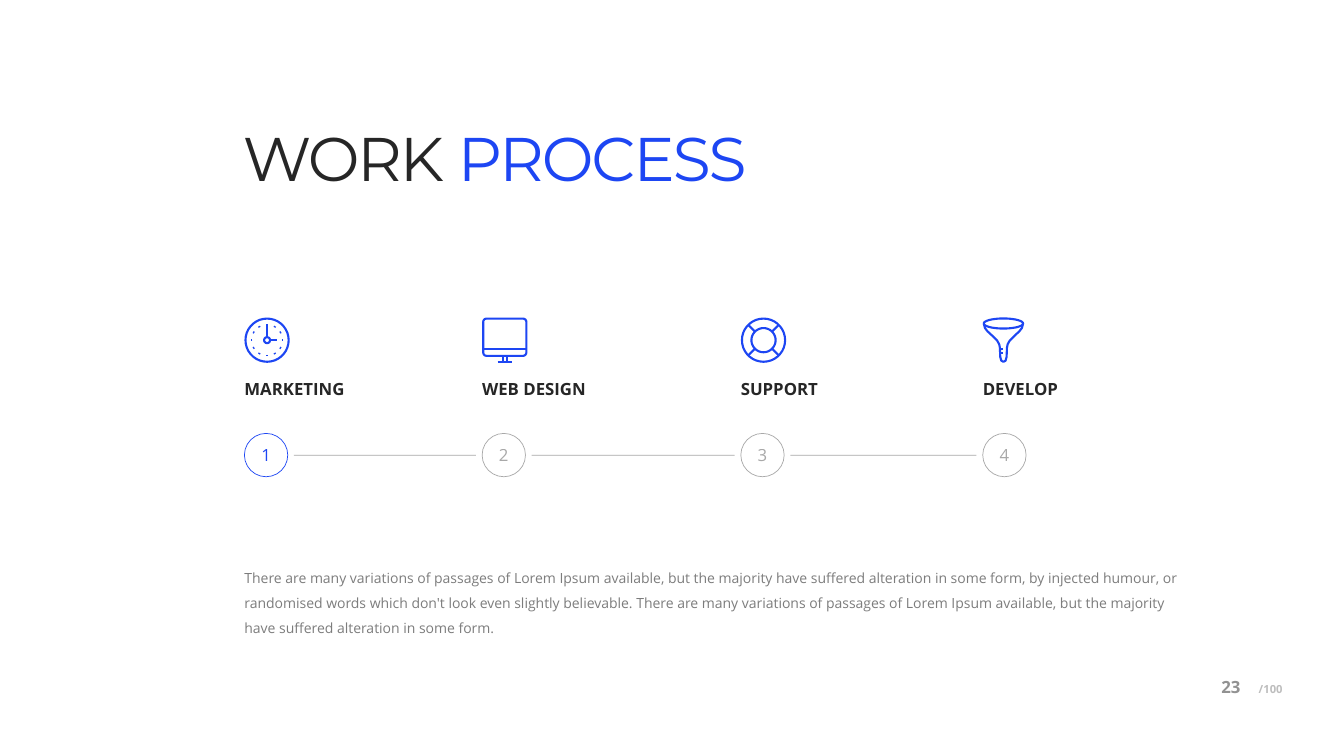
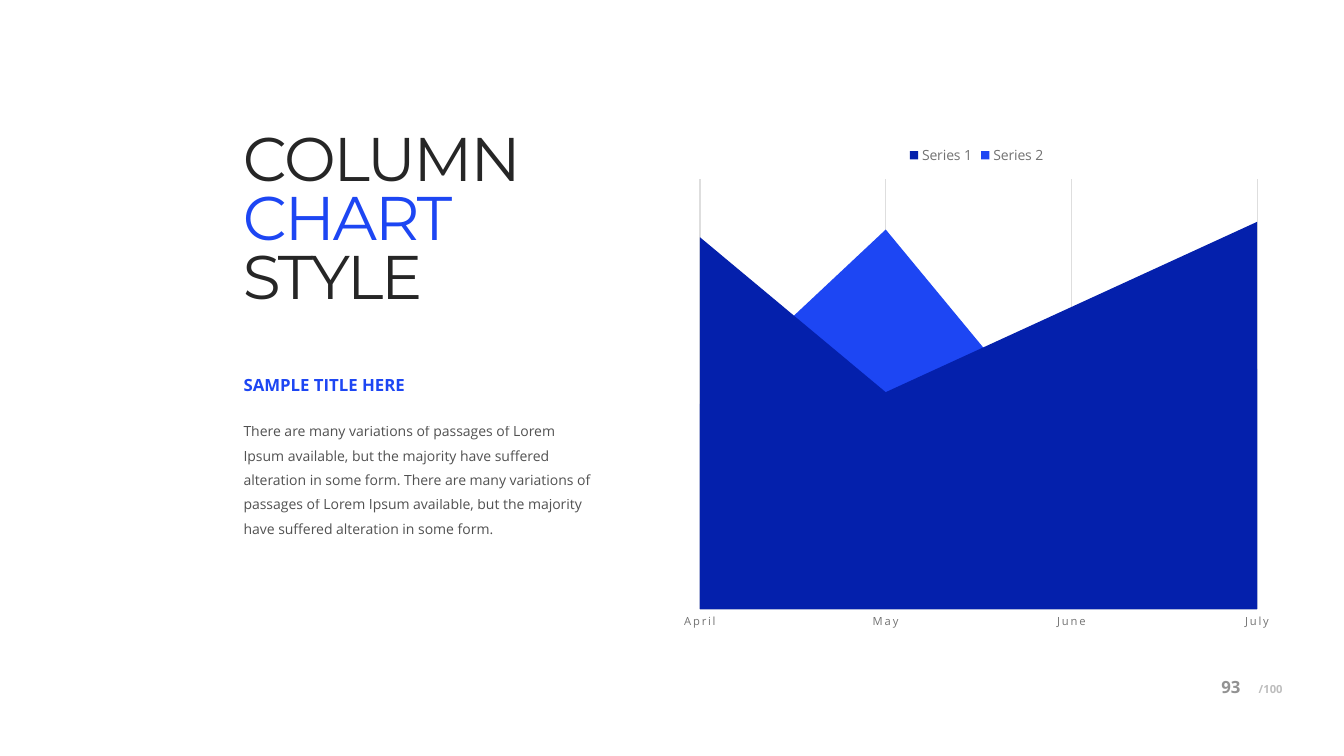
from math import cos, pi, sin

from lxml import etree
from pptx import Presentation, util as u
from pptx.chart.data import CategoryChartData
from pptx.dml.color import RGBColor
from pptx.enum import chart as charts, shapes, text
from pptx.oxml import parse_xml
from pptx.oxml.ns import nsdecls, qn

INK = RGBColor(0x26, 0x26, 0x26)
BLUE = RGBColor(0x1D, 0x46, 0xF3)
NAVY = RGBColor(0x04, 0x20, 0xAC)
GREY = RGBColor(0x72, 0x72, 0x72)
RULE = RGBColor(0xDE, 0xDE, 0xDE)
HEAD_FONT, BODY_FONT = "Montserrat", "Open Sans"

# The slide is a grid of 160 columns by 90 rows of square cells
COLUMNS, ROWS = 160, 90
CELL = u.Inches(7.5) / ROWS
LEFT = 29


def grid(*cells):
    return [u.Emu(round(cell * CELL)) for cell in cells]


def fade(parent, percent):
    """Give every solid colour below an element an opacity."""
    if percent < 100:
        for color in parent.iter(qn("a:srgbClr")):
            etree.SubElement(color, qn("a:alpha"), val=str(percent * 1000))


# Icon outlines: lists of strokes, in cells from the icon's top left corner
def polar(x, y, r, turn):
    return x + r * sin(2 * pi * turn), y - r * cos(2 * pi * turn)


def ring(x, y, rx, ry=None, count=36):
    ry = ry or rx
    turns = [2 * pi * step / count for step in range(count + 1)]
    return [(x + rx * sin(turn), y - ry * cos(turn)) for turn in turns]


def clock():
    middle = 2.7
    dots = [[polar(middle, middle, r, hour / 12) for r in (1.76, 1.92)]
            for hour in range(1, 12)]
    hands = [[(middle, 0.8), (middle, 2.34)], [(3.06, middle), (3.85, middle)]]
    return [ring(middle, middle, 2.57),
            ring(middle, middle, 0.36, count=12), *hands, *dots]


def monitor():
    near, right, bottom, r = 0.13, 5.27, 4.57, 0.4
    corners = [(right - r, near + r), (right - r, bottom - r),
               (near + r, bottom - r), (near + r, near + r)]
    screen = [polar(x, y, r, (corner + part / 4) / 4)
              for corner, (x, y) in enumerate(corners) for part in range(5)]
    legs = [[(x, bottom), (x, 5.28)] for x in (2.45, 3.0)]
    return [screen + screen[:1], [(near, 3.72), (right, 3.72)], *legs,
            [(1.85, 5.28), (3.6, 5.28)]]


def lifebuoy():
    middle, inner, outer = 2.7, 1.44, 2.57
    spokes = [[polar(middle, middle, r, (quarter + 0.5) / 4)
               for r in (inner, outer)] for quarter in range(4)]
    return [ring(middle, middle, inner), ring(middle, middle, outer), *spokes]


def funnel():
    middle = 2.46
    side = [(2.34, 0.72), (2.2, 1.25), (1.9, 1.65), (1.3, 2.2), (0.75, 2.75),
            (0.5, 3.2), (0.42, 3.6), (0.38, 4.7), (0.25, 5.15), (0, 5.28)]
    body = ([(middle - dx, y) for dx, y in side]
            + [(middle + dx, y) for dx, y in side[-2::-1]])
    notches = [[(middle - 0.4, y), (middle - 0.1, y)] for y in (3.75, 4.2)]
    return [ring(middle, 0.72, 2.34, 0.6), body, *notches]


class Deck:
    """The shared style, and the page being drawn."""

    def __init__(self):
        self.file = Presentation()
        self.file.slide_width, self.file.slide_height = grid(COLUMNS, ROWS)
        self.page = None

    def new_page(self, number, *title):
        blank = self.file.slide_layouts[6]
        self.page = self.file.slides.add_slide(blank).shapes
        middle = text.MSO_ANCHOR.MIDDLE
        self.words((146, 80.5, 6.7, 3), "/100", 8, bold=True, opacity=30,
                   align=text.PP_ALIGN.RIGHT, anchor=middle)
        self.words((145.4, 80.2, 6.7, 3), str(number), 12, bold=True,
                   opacity=50, anchor=middle)
        self.title(*title)

    # Text
    def frame(self, shape, anchor=text.MSO_ANCHOR.TOP):
        frame = shape.text_frame
        frame.word_wrap = True
        frame.vertical_anchor = anchor
        frame.margin_left = frame.margin_right = 0
        frame.margin_top = frame.margin_bottom = 0
        return frame

    def span(self, para, words, size, color=INK, font=BODY_FONT, bold=False,
             opacity=100):
        span = para.add_run()
        span.text = words
        span.font.name, span.font.size = font, u.Pt(size)
        span.font.bold = bold
        span.font.color.rgb = color
        fade(span.font._element, opacity)
        return span

    def words(self, cells, words, size, align=text.PP_ALIGN.LEFT,
              anchor=text.MSO_ANCHOR.TOP, spacing=1.0, **style):
        box = self.page.add_textbox(*grid(*cells))
        para = self.frame(box, anchor).paragraphs[0]
        para.alignment, para.line_spacing = align, spacing
        self.span(para, words, size, **style)

    def title(self, *lines):
        """Each line is a list of (words, colour) pairs."""
        box = self.page.add_textbox(*grid(28.9, 13.4, 75.5, 19.6))
        frame = self.frame(box)
        frame.margin_top = u.Inches(0.21)
        para = frame.paragraphs[0]
        para.line_spacing = 0.8
        for index, line in enumerate(lines):
            if index:
                para.add_line_break()
            for words, color in line:
                span = self.span(para, words, 44, color, HEAD_FONT)
                span.font._element.set("spc", "-150")

    # Outlined shapes
    def outline(self, shape, color=BLUE, width=1.5, opacity=100):
        shape.shadow.inherit = False
        shape.fill.background()
        shape.line.color.rgb = color
        shape.line.width = u.Pt(width)
        fade(shape.line._ln, opacity)

    def rule(self, x1, x2, y):
        rule = self.page.add_connector(
            shapes.MSO_CONNECTOR.STRAIGHT, *grid(x1, y, x2, y))
        rule.line.color.rgb = INK
        rule.line.width = u.Pt(0.5)
        fade(rule.line._ln, 40)
        etree.SubElement(rule._element.spPr, qn("a:effectLst"))

    def icon(self, x, y, strokes):
        strokes = [[grid(x + dx, y + dy) for dx, dy in stroke]
                   for stroke in strokes]
        builder = self.page.build_freeform(*strokes[0][0])
        for index, (start, *points) in enumerate(strokes):
            if index:
                builder.move_to(*start)
            builder.add_line_segments(points, close=False)
        self.outline(builder.convert_to_shape())

    # Process steps
    def step(self, x, number, label, strokes, color, opacity):
        self.icon(x, 37.8, strokes)
        self.words((x, 45.5, 12.5, 2), label, 12, bold=True, spacing=0.8)
        badge = self.page.add_shape(shapes.MSO_SHAPE.OVAL,
                                    *grid(x, 51.6, 5.16, 5.16))
        self.outline(badge, color, 0.5, opacity)
        para = self.frame(badge, text.MSO_ANCHOR.MIDDLE).paragraphs[0]
        para.alignment = text.PP_ALIGN.CENTER
        self.span(para, str(number), 12, color, opacity=opacity)

    # Chart
    def area_chart(self, cells, months, series, top):
        data = CategoryChartData()
        data.categories = months
        for name, values, _ in series:
            data.add_series(name, values)
        chart = self.page.add_chart(
            charts.XL_CHART_TYPE.AREA, *grid(*cells), data).chart
        chart.has_title = False
        chart.has_legend = True
        chart.legend.position = charts.XL_LEGEND_POSITION.TOP
        chart.legend.include_in_layout = False
        months_axis, values_axis = chart.category_axis, chart.value_axis
        for font, size, color in ((chart.font, 10, INK),
                                  (chart.legend.font, 10, GREY),
                                  (months_axis.tick_labels.font, 8, GREY)):
            font.name, font.size = BODY_FONT, u.Pt(size)
            font.color.rgb = color
        months_axis.tick_labels.font._element.set("spc", "120")
        months_axis.major_tick_mark = charts.XL_TICK_MARK.NONE
        months_axis.has_major_gridlines = True
        for rule in (months_axis.format.line,
                     months_axis.major_gridlines.format.line):
            rule.color.rgb, rule.width = RULE, u.Pt(0.75)
        values_axis.visible = False
        values_axis.has_major_gridlines = False
        values_axis.minimum_scale, values_axis.maximum_scale = 0, top
        plot = chart.plots[0]
        plot.vary_by_categories = False
        for area, (_, _, color) in zip(plot.series, series):
            area.format.fill.solid()
            area.format.fill.fore_color.rgb = color
        self.place_plot(chart, x=0.046, y=0.089, w=0.915, h=0.853)

    def place_plot(self, chart, **shares):
        modes = '<c:xMode val="edge"/><c:yMode val="edge"/>'
        sizes = "".join(f'<c:{side} val="{share}"/>'
                        for side, share in shares.items())
        area = chart._chartSpace.chart.plotArea
        for old in area.findall(qn("c:layout")):
            area.remove(old)
        area.insert(0, parse_xml(
            f'<c:layout {nsdecls("c")}><c:manualLayout>'
            f'<c:layoutTarget val="inner"/>{modes}{sizes}'
            f'</c:manualLayout></c:layout>'))


def process_page(deck):
    deck.new_page(23, [("WORK ", INK), ("PROCESS", BLUE)])
    steps = [(LEFT + 0.1, "MARKETING", clock()),
             (57.4, "WEB DESIGN", monitor()),
             (88.2, "SUPPORT", lifebuoy()),
             (117, "DEVELOP", funnel())]
    for number, (x, label, strokes) in enumerate(steps, 1):
        color, opacity = (BLUE, 100) if number == 1 else (INK, 40)
        deck.step(x, number, label, strokes, color, opacity)
    for (start, *_), (end, *_) in zip(steps, steps[1:]):
        deck.rule(start + 5.9, end - 0.75, 54.2)
    deck.words((LEFT + 0.1, 66.75, 111.8, 8.8),
               "There are many variations of passages of Lorem Ipsum "
               "available, but the majority have suffered alteration in some "
               "form, by injected humour, or randomised words which don't "
               "look even slightly believable. There are many variations of "
               "passages of Lorem Ipsum available, but the majority have "
               "suffered alteration in some form.",
               10, spacing=1.5, opacity=60)


def chart_page(deck):
    deck.new_page(93, [("COLUMN", INK)], [("CHART", BLUE)], [("STYLE", INK)])
    deck.words((LEFT, 44.6, 19.4, 2.4), "SAMPLE TITLE HERE", 12, color=BLUE,
               bold=True)
    sentence = ("There are many variations of passages of Lorem Ipsum "
                "available, but the majority have suffered alteration in "
                "some form.")
    deck.words((LEFT, 49.45, 41.5, 14.4), f"{sentence} {sentence}", 10,
               spacing=1.45, opacity=80)
    deck.area_chart((80, 16, 72.5, 60), ["April", "May", "June", "July"],
                    [("Series 1", (96, 56, 78, 100), NAVY),
                     ("Series 2", (53, 98, 40, 62), BLUE)], top=111)


def main():
    deck = Deck()
    process_page(deck)
    chart_page(deck)
    deck.file.save("out.pptx")


if __name__ == "__main__":
    main()
